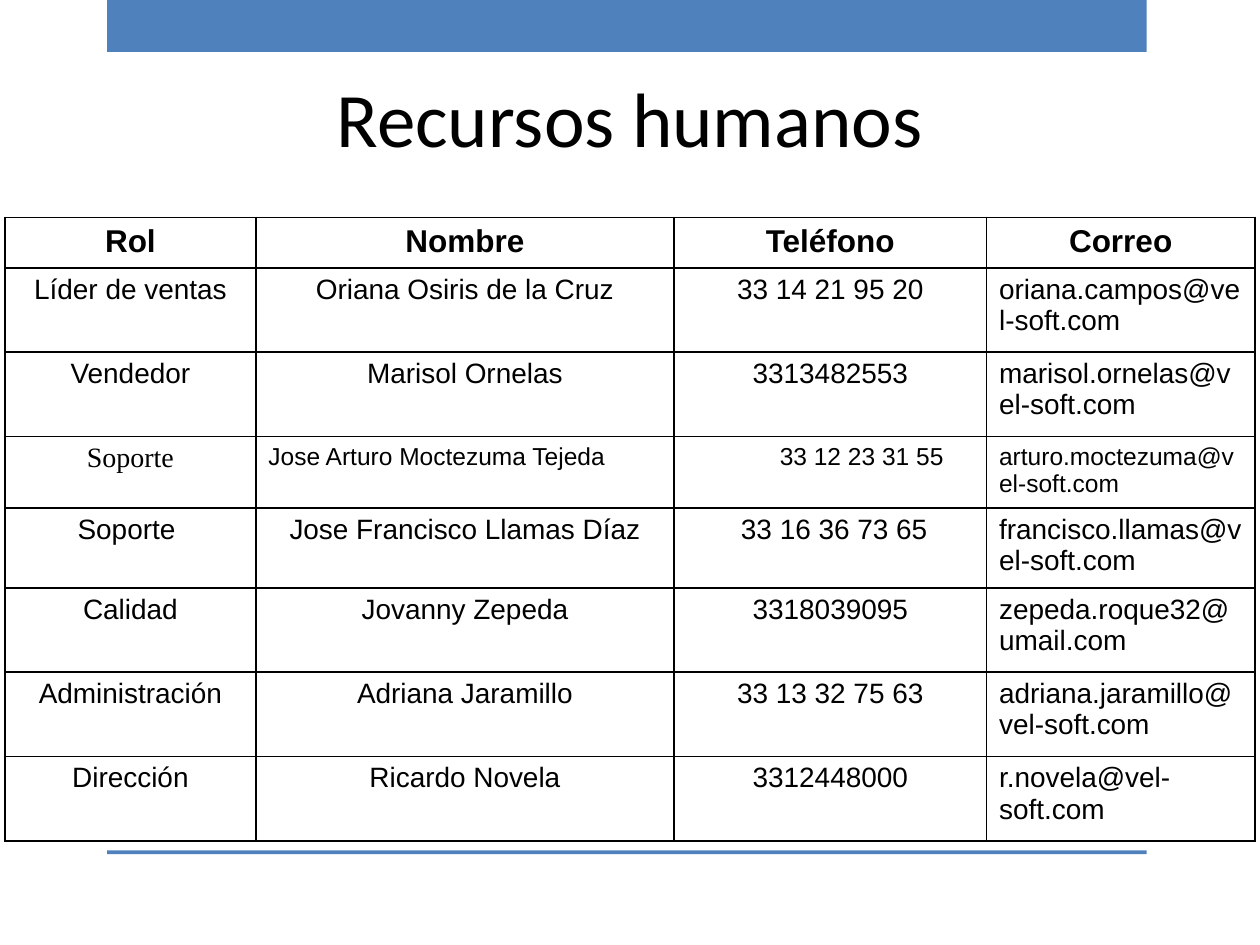
from lxml.etree import SubElement
from pptx import Presentation
from pptx.dml.color import RGBColor
from pptx.enum.shapes import MSO_SHAPE
from pptx.enum.text import MSO_ANCHOR, PP_ALIGN
from pptx.oxml.ns import qn
from pptx.util import Inches, Pt

COLORS = {"accent": "4F81BD", "ink": "000000"}
WIDTH, HEIGHT = 10, 7.5

# Boxes are left, top, width, height as shares of the slide
BANDS = [(0.085, 0, 0.825, 0.055), (0.085, 0.9, 0.825, 0.004)]
TITLE_BOX = (0.05, 0.04, 0.9, 1 / 6)
TABLE_BOX = (0.004, 0.23, 0.992, 0.65)

# Relative sizes of the table's columns and rows
COLUMNS = [1.99, 3.32, 2.48, 2.13]
ROWS = [0.39, 0.67, 0.67, 0.54, 0.6, 0.67, 0.67, 0.67]

HEADER = ["Rol", "Nombre", "Teléfono", "Correo"]
STAFF = [
    ["Líder de ventas", "Oriana Osiris de la Cruz", "33 14 21 95 20", "oriana.campos@vel-soft.com"],
    ["Vendedor", "Marisol Ornelas", "3313482553", "marisol.ornelas@vel-soft.com"],
    ["Soporte", "Jose Arturo Moctezuma Tejeda", "\t33 12 23 31 55", "arturo.moctezuma@vel-soft.com"],
    ["Soporte ", "Jose Francisco Llamas Díaz", " 33 16 36 73 65", "francisco.llamas@vel-soft.com"],
    ["Calidad", "Jovanny Zepeda", "3318039095", "zepeda.roque32@umail.com"],
    ["Administración", "Adriana Jaramillo", "33 13 32 75 63", "adriana.jaramillo@vel-soft.com"],
    ["Dirección", "Ricardo Novela", "3312448000", "r.novela@vel-soft.com"],
]
HEADER_FONT = {"name": "Arial", "size": Pt(18), "bold": True}
BODY_FONT = {"name": "Arial", "size": Pt(16), "bold": False}
SMALL_FONT = BODY_FONT | {"size": Pt(14)}
# Cells, by row and column, that depart from the body style
CELL_FONTS = {(3, 0): BODY_FONT | {"name": "Times New Roman"}}
CELL_FONTS |= {(3, column): SMALL_FONT for column in (1, 2, 3)}
LEFT_CELLS = {(row, 3) for row in range(1, len(ROWS))} | {(3, 1)}


def color(name):
    return RGBColor.from_string(COLORS[name])


def place(box):
    """Turn shares of the slide into lengths."""
    return [Inches(share * side) for share, side in zip(box, (WIDTH, HEIGHT) * 2)]


def write(frame, text, font, align=PP_ALIGN.CENTER):
    para = frame.paragraphs[0]
    para.alignment = align
    span = para.add_run()
    span.text = text
    for key, value in font.items():
        setattr(span.font, key, value)
    span.font.color.rgb = color("ink")


def add_band(page, box):
    band = page.shapes.add_shape(MSO_SHAPE.RECTANGLE, *place(box))
    band.shadow.inherit = False
    band.fill.solid()
    band.fill.fore_color.rgb = color("accent")
    band.line.fill.background()


def add_title(page, box, text):
    frame = page.shapes.add_textbox(*place(box)).text_frame
    frame.word_wrap = True
    frame.vertical_anchor = MSO_ANCHOR.MIDDLE
    write(frame, text, {"name": "Calibri", "size": Pt(44)})


def add_borders(cell):
    properties = cell._tc.get_or_add_tcPr()
    for index, side in enumerate(("lnL", "lnR", "lnT", "lnB")):
        line = properties.makeelement(qn(f"a:{side}"), {"w": str(Pt(1))})
        fill = SubElement(line, qn("a:solidFill"))
        SubElement(fill, qn("a:srgbClr"), val=COLORS["ink"])
        properties.insert(index, line)


def add_staff_table(page, box):
    left, top, width, height = place(box)
    table = page.shapes.add_table(len(ROWS), len(COLUMNS), left, top, width, height).table
    table.first_row = table.horz_banding = False
    for column, share in zip(table.columns, COLUMNS):
        column.width = int(width * share / sum(COLUMNS))
    for row, share in zip(table.rows, ROWS):
        row.height = int(height * share / sum(ROWS))
    for r, texts in enumerate([HEADER] + STAFF):
        for c, text in enumerate(texts):
            cell = table.cell(r, c)
            cell.fill.background()
            add_borders(cell)
            font = CELL_FONTS.get((r, c), BODY_FONT if r else HEADER_FONT)
            align = PP_ALIGN.LEFT if (r, c) in LEFT_CELLS else PP_ALIGN.CENTER
            write(cell.text_frame, text, font, align)


def main():
    deck = Presentation()
    deck.slide_width, deck.slide_height = Inches(WIDTH), Inches(HEIGHT)
    page = deck.slides.add_slide(deck.slide_layouts[6])
    for box in BANDS:
        add_band(page, box)
    add_title(page, TITLE_BOX, "Recursos humanos")
    add_staff_table(page, TABLE_BOX)
    deck.save("out.pptx")


if __name__ == "__main__":
    main()
